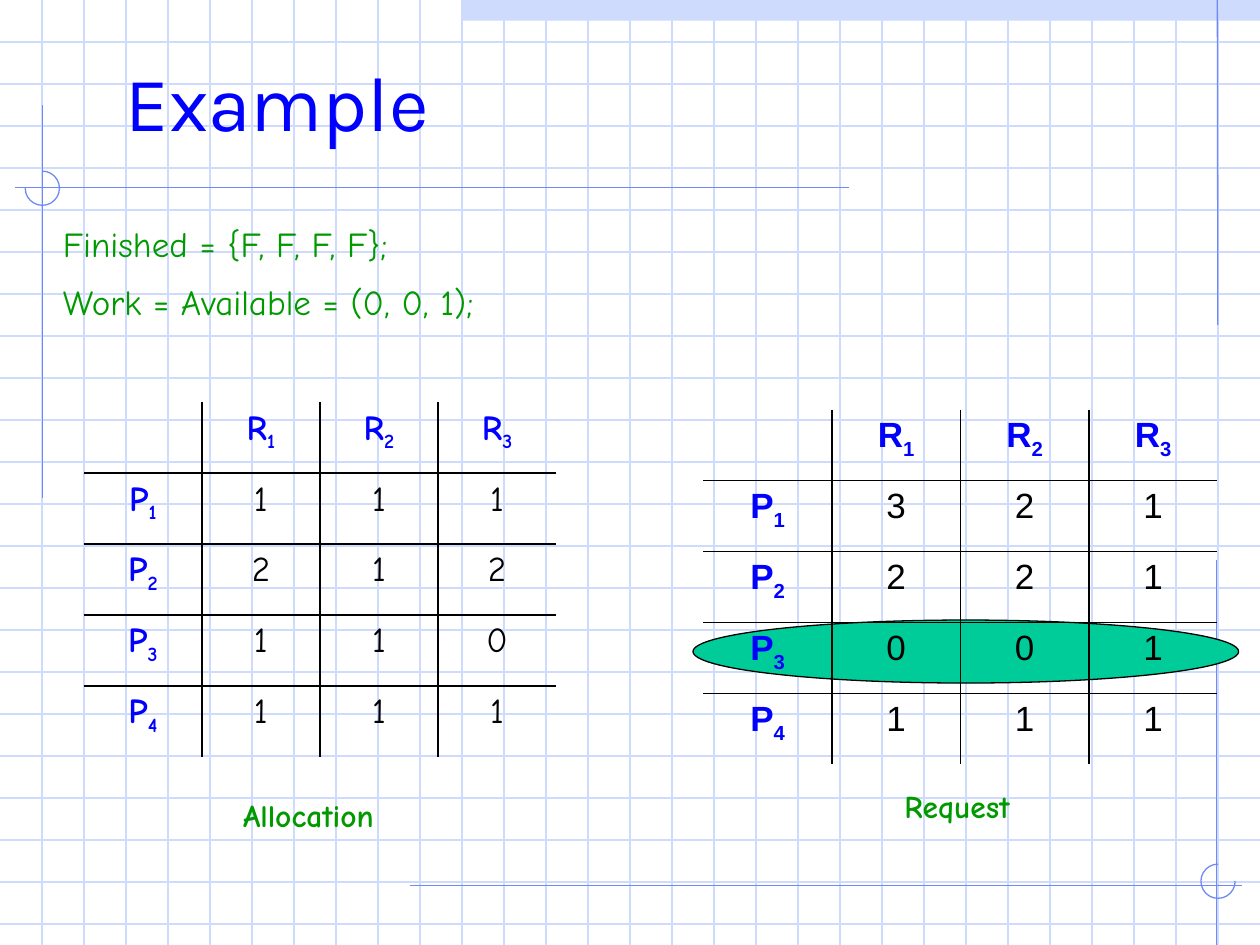
from lxml.etree import SubElement
from pptx import Presentation
from pptx.dml.color import RGBColor
from pptx.enum.shapes import MSO_CONNECTOR, MSO_SHAPE
from pptx.enum.text import MSO_ANCHOR, PP_ALIGN
from pptx.oxml import parse_xml
from pptx.oxml.ns import nsdecls, qn
from pptx.util import Cm, Pt

PALE_BLUE = RGBColor(0xCF, 0xDB, 0xFD)
RULE_BLUE = RGBColor(0x6F, 0x89, 0xF7)
BLUE = RGBColor(0x00, 0x00, 0xFF)
GREEN = RGBColor(0x00, 0x99, 0x00)
TEAL = RGBColor(0x00, 0xCC, 0x99)
BLACK = RGBColor(0x00, 0x00, 0x00)

WIDTH, HEIGHT = 25.4, 19.05
GRID_STEP = WIDTH / 30
ROW_HEIGHT = 1.43
ARC_UNITS_PER_DEGREE = 0.6

RULES = [
    (24.54, 0, 24.55, 6.55),
    (0.86, 2.12, 0.86, 10.03),
    (17.12, 3.78, 0.31, 3.78),
    (8.26, 17.85, 25.04, 17.85),
    (24.53, 11.28, 24.53, 19.05),
]
ALLOCATION = ["111", "212", "110", "111"]
REQUEST = ["321", "221", "001", "111"]


def add_line(page, x1, y1, x2, y2, color):
    """Draw a thin straight line without a shadow."""
    line = page.shapes.add_connector(
        MSO_CONNECTOR.STRAIGHT, Cm(x1), Cm(y1), Cm(x2), Cm(y2))
    line.line.color.rgb = color
    line.line.width = Pt(0.75)
    SubElement(line._element.spPr, qn("a:effectLst"))


def add_shape(page, kind, left, top, width, height, fill=None, outline=None):
    """Draw a preset shape with an optional fill and outline."""
    shape = page.shapes.add_shape(kind, Cm(left), Cm(top), Cm(width), Cm(height))
    shape.shadow.inherit = False
    if fill is None:
        shape.fill.background()
    else:
        shape.fill.solid()
        shape.fill.fore_color.rgb = fill
    if outline is None:
        shape.line.fill.background()
    else:
        shape.line.color.rgb = outline
        shape.line.width = Pt(0.75)
    return shape


def add_arc(page, left, top, start, end):
    """Draw part of a small circle, clockwise between two angles."""
    arc = add_shape(page, MSO_SHAPE.ARC, left, top, 0.69, 0.69, outline=RULE_BLUE)
    arc.adjustments[0] = start * ARC_UNITS_PER_DEGREE
    arc.adjustments[1] = end * ARC_UNITS_PER_DEGREE


def add_background(page):
    """Draw the squared paper, the top band and the corner rules."""
    add_shape(page, MSO_SHAPE.RECTANGLE, 9.3, 0, 16.1, 0.42, fill=PALE_BLUE)
    for index in range(1, 23):
        add_line(page, 0, index * GRID_STEP, WIDTH, index * GRID_STEP, PALE_BLUE)
    for index in range(1, 30):
        add_line(page, index * GRID_STEP, 0, index * GRID_STEP, HEIGHT, PALE_BLUE)
    for ends in RULES:
        add_line(page, *ends, RULE_BLUE)
    add_arc(page, 0.51, 3.45, 270, 180)
    add_arc(page, 24.21, 17.42, 0, 270)


def format_span(span, font, size, color, bold=False):
    """Set the font of one run."""
    span.font.name = font
    span.font.size = Pt(size)
    span.font.color.rgb = color
    span.font.bold = bold


def add_text(page, left, top, width, height, text, font, size, color,
             spacing=1.04, before=0, bold=False, inset=0, anchor=MSO_ANCHOR.TOP,
             wrap=True):
    """Add a text box whose paragraphs share one format."""
    box = page.shapes.add_textbox(Cm(left), Cm(top), Cm(width), Cm(height))
    frame = box.text_frame
    frame.word_wrap = wrap
    frame.vertical_anchor = anchor
    frame.margin_left = frame.margin_right = Cm(inset)
    frame.margin_top = frame.margin_bottom = Cm(inset / 2)
    frame.text = text
    for paragraph in frame.paragraphs:
        paragraph.line_spacing = spacing
        paragraph.space_before = Pt(before)
        for span in paragraph.runs:
            format_span(span, font, size, color, bold)


def set_borders(cell, sides):
    """Give a cell black borders on the named sides and none elsewhere."""
    properties = cell._tc.get_or_add_tcPr()
    for index, side in enumerate("LRTB"):
        paint = ('<a:solidFill><a:srgbClr val="000000"/></a:solidFill>'
                 if side in sides else "<a:noFill/>")
        border = parse_xml(
            f'<a:ln{side} {nsdecls("a")} w="12700">{paint}</a:ln{side}>')
        properties.insert(index, border)


def fill_cell(cell, text, font):
    """Write a value, or a label with its number as a subscript."""
    paragraph = cell.text_frame.paragraphs[0]
    paragraph.alignment = PP_ALIGN.CENTER
    paragraph.space_before = Pt(4)
    is_label = len(text) > 1
    for position, letter in enumerate(text):
        span = paragraph.add_run()
        span.text = letter
        format_span(span, font, 20, BLUE if is_label else BLACK, is_label)
        if position:
            span.font._element.set("baseline", "-25000")


def add_matrix(page, left, top, column_width, values, font):
    """Add a table of processes by resources with inner borders only."""
    rows = [["", "R1", "R2", "R3"]]
    rows += [[f"P{number}", *row] for number, row in enumerate(values, 1)]
    last_row, last_column = len(rows) - 1, len(rows[0]) - 1
    frame = page.shapes.add_table(
        len(rows), len(rows[0]), Cm(left), Cm(top),
        Cm(column_width * len(rows[0])), Cm(ROW_HEIGHT * len(rows)))
    table = frame.table
    table.first_row = table.horz_banding = False
    for column in table.columns:
        column.width = Cm(column_width)
    for y, row in enumerate(rows):
        table.rows[y].height = Cm(ROW_HEIGHT)
        for x, text in enumerate(row):
            cell = table.cell(y, x)
            cell.fill.background()
            fill_cell(cell, text, font)
            inner = {"L": x > 0, "R": x < last_column, "T": y > 0, "B": y < last_row}
            set_borders(cell, [side for side in inner if inner[side]])


def add_caption(page, left, top, width, text):
    """Add the name below a table."""
    add_text(page, left, top, width, 1.02, text, "Comic Neue", 18, GREEN,
             spacing=1.34, bold=True, inset=0.25, wrap=False)


def main():
    """Build the slide and save it."""
    deck = Presentation()
    deck.slide_width, deck.slide_height = Cm(WIDTH), Cm(HEIGHT)
    page = deck.slides.add_slide(deck.slide_layouts[6])
    add_background(page)
    add_shape(page, MSO_SHAPE.OVAL, 13.97, 12.5, 11, 1.27, fill=TEAL, outline=BLACK)
    add_text(page, 2.54, 0, 21.59, 3.99, "Example", "Karla", 44, BLUE,
             anchor=MSO_ANCHOR.MIDDLE)
    add_text(page, 1.27, 4.45, 22.86, 12.57,
             "Finished = {F, F, F, F};\nWork = Available = (0, 0, 1);",
             "Comic Neue", 20, GREEN, before=8)
    add_matrix(page, 1.69, 8.11, 2.38, ALLOCATION, "Comic Neue")
    add_matrix(page, 14.18, 8.26, 2.59, REQUEST, "Arial")
    add_caption(page, 4.65, 15.67, 3.48, "Allocation")
    add_caption(page, 17.98, 15.49, 2.9, "Request")
    deck.save("out.pptx")


if __name__ == "__main__":
    main()
